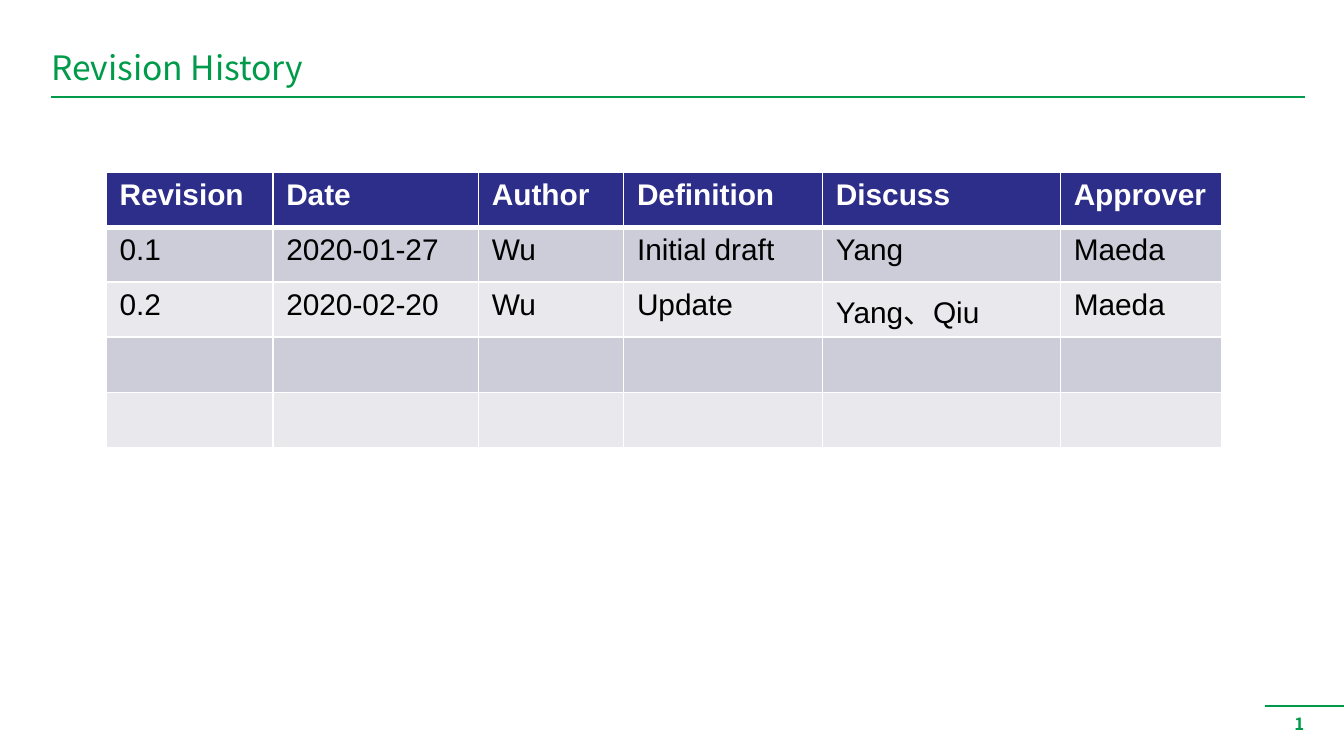
"""Build the revision history slide."""
import pptx
import pptx.util
import pptx.dml.color
import pptx.enum.shapes
import pptx.enum.text
import pptx.oxml
import pptx.oxml.ns

Inches = pptx.util.Inches
Pt = pptx.util.Pt

COLORS = {"green": "009B4A", "navy": "2D2D8A", "dark": "CDCDDA",
          "light": "E8E8ED", "white": "FFFFFF", "black": "000000"}
HEAD_FONT, BODY_FONT = "Noto Sans CJK JP", "Arial"
ROWS = [
    ("Revision", "Date", "Author", "Definition", "Discuss", "Approver"),
    ("0.1", "2020-01-27", "Wu", "Initial draft", "Yang", "Maeda"),
    ("0.2", "2020-02-20", "Wu", "Update", "Yang、Qiu", "Maeda"),
    ("",) * 6,
    ("",) * 6,
]
WIDE = 10
HIGH = WIDE * 9 / 16
WIDTHS = [1.24, 1.53, 1.08, 1.48, 1.77, 1.2]
ROW_HIGH = 0.41
RULES = [(0.38, 9.71, 0.72), (9.41, WIDE, 5.25)]


def shade(name):
    return pptx.dml.color.RGBColor.from_string(COLORS[name])


def style(para, face, size, color, bold=False):
    font = para.font
    font.name, font.size, font.bold = face, Pt(size), bold
    font.color.rgb = shade(color)


def add_text(slide, text, box, size, bold=False, inset=0.09):
    frame = slide.shapes.add_textbox(*map(Inches, box)).text_frame
    frame.word_wrap = True
    frame.margin_left = Inches(inset)
    frame.text = text
    style(frame.paragraphs[0], HEAD_FONT, size, "green", bold)
    return frame


def add_rule(slide, left, right, top):
    kind = pptx.enum.shapes.MSO_CONNECTOR.STRAIGHT
    rule = slide.shapes.add_connector(
        kind, Inches(left), Inches(top), Inches(right), Inches(top))
    rule.line.color.rgb = shade("green")
    rule.line.width = Pt(1)
    rule._element.spPr.append(pptx.oxml.parse_xml(
        f'<a:effectLst {pptx.oxml.ns.nsdecls("a")}/>'))


def add_edges(cell, top, base):
    props = cell._tc.get_or_add_tcPr()
    edges = [("L", 1), ("R", 1), ("T", top), ("B", base)]
    for spot, (side, width) in enumerate(edges):
        props.insert(spot, pptx.oxml.parse_xml(
            f'<a:ln{side} {pptx.oxml.ns.nsdecls("a")} w="{Pt(width)}">'
            f'<a:solidFill><a:srgbClr val="{COLORS["white"]}"/></a:solidFill>'
            f'</a:ln{side}>'))


def add_history(slide):
    table = slide.shapes.add_table(
        len(ROWS), len(WIDTHS), Inches(0.79), Inches(1.28),
        Inches(sum(WIDTHS)), Inches(ROW_HIGH * len(ROWS))).table
    for column, width in zip(table.columns, WIDTHS):
        column.width = Inches(width)
    for r, row in enumerate(ROWS):
        head = r == 0
        table.rows[r].height = Inches(ROW_HIGH)
        for c, text in enumerate(row):
            cell = table.cell(r, c)
            cell.text = text
            style(cell.text_frame.paragraphs[0], BODY_FONT, 16,
                  "white" if head else "black", head)
            cell.fill.solid()
            cell.fill.fore_color.rgb = shade(
                "navy" if head else "dark" if r % 2 else "light")
            add_edges(cell, 3 if r == 1 else 1, 3 if head else 1)


def main():
    deck = pptx.Presentation()
    deck.slide_width, deck.slide_height = Inches(WIDE), Inches(HIGH)
    slide = deck.slides.add_slide(deck.slide_layouts[6])
    add_text(slide, "1", (9.41, 5.26, 0.59, 0.36), 9, True, 0.22)
    for rule in RULES:
        add_rule(slide, *rule)
    title = add_text(slide, "Revision History", (0.29, 0.33, 7.66, 0.37), 18)
    title.vertical_anchor = pptx.enum.text.MSO_ANCHOR.BOTTOM
    add_history(slide)
    deck.save("out.pptx")


if __name__ == "__main__":
    main()
